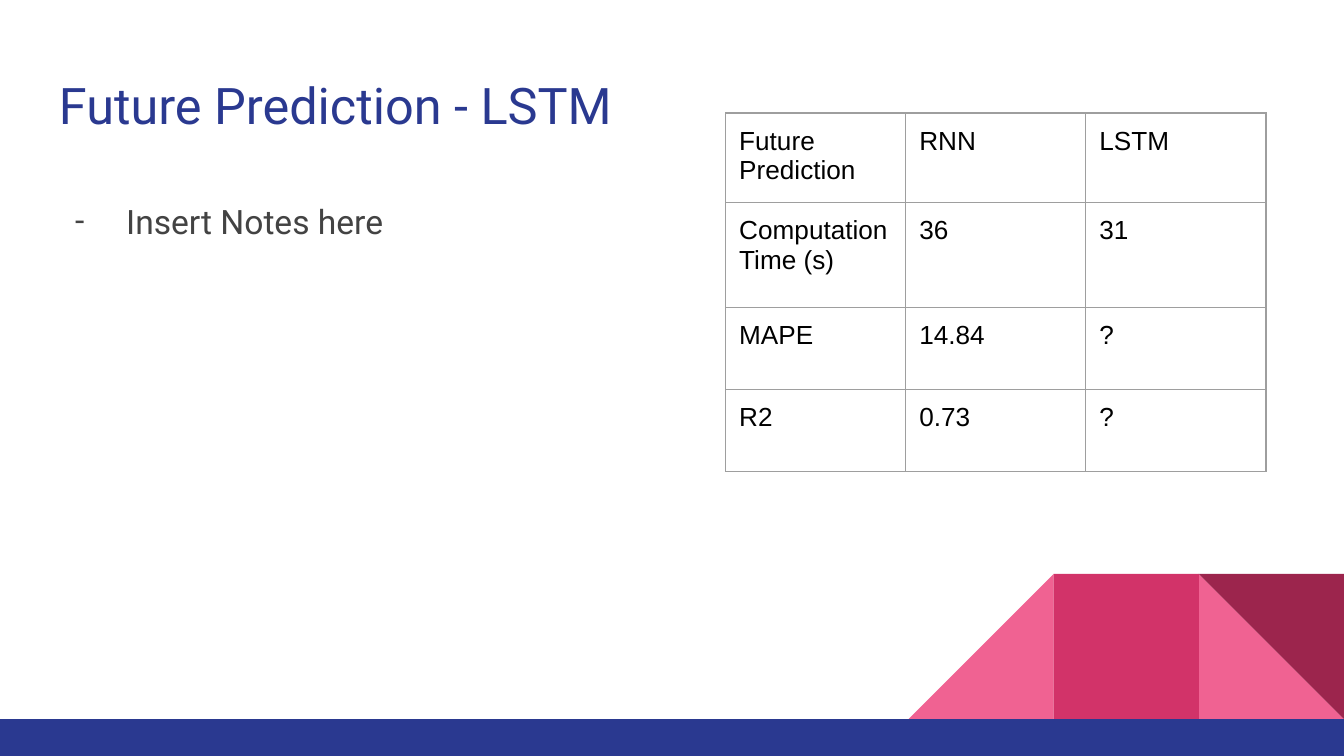
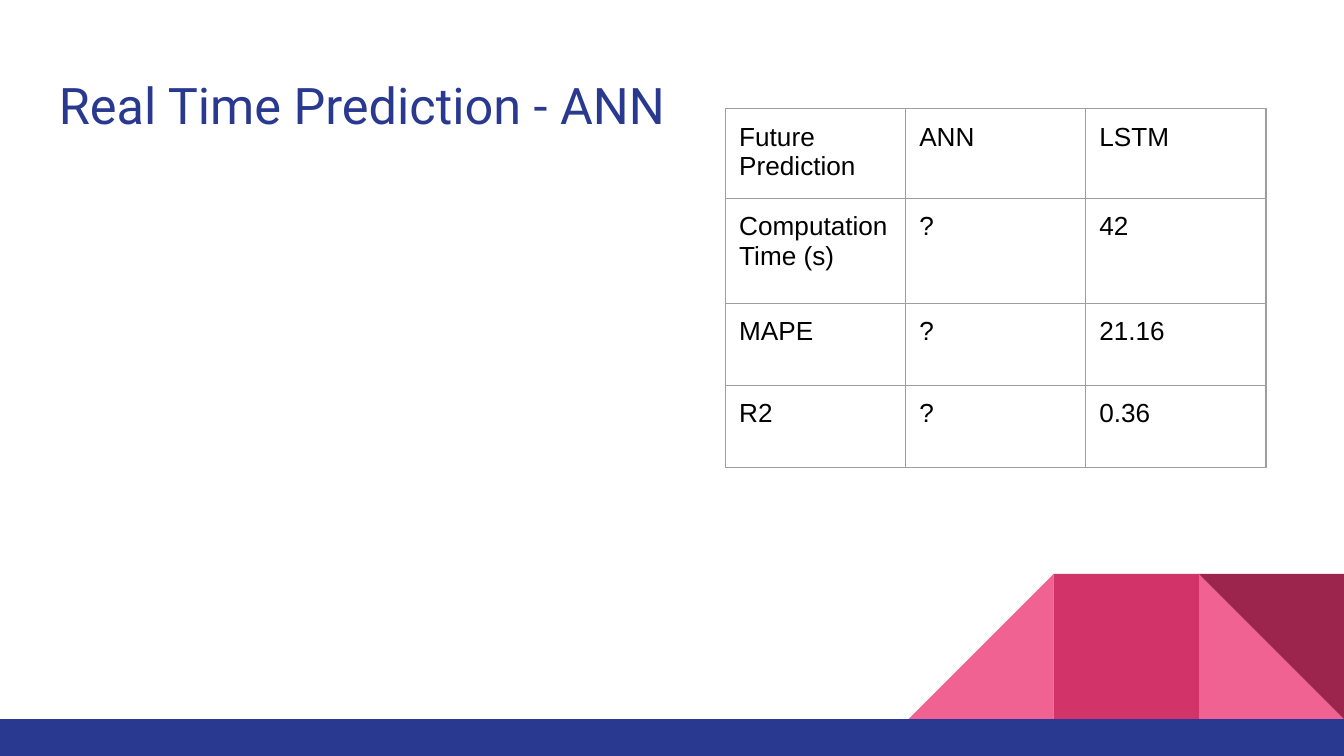
import pptx
import pptx.util
import pptx.dml.color
import pptx.enum.shapes
import pptx.enum.text
import pptx.oxml
import pptx.oxml.ns

Inches = pptx.util.Inches
Pt = pptx.util.Pt
SHAPE = pptx.enum.shapes.MSO_SHAPE

COLORS = {
    "white": "FFFFFF",
    "navy": "2A3990",
    "light_pink": "F06292",
    "pink": "D23369",
    "wine": "9C254D",
    "body": "434343",
    "cell": "000000",
    "border": "9E9E9E",
}
MARGIN = 0.1
TITLE_BOX = (0.34, 0.45, 9.32, 0.66)
BODY_BOX = (0.34, 1.35, 9.32, 3.65)
BAND_TOP = 5.35
TILE = 1.08
ROW_LABELS = ("Future\nPrediction", "Computation Time (s)", "MAPE", "R2")
ROW_HEIGHTS = (0.64, 0.78, 0.61, 0.61)
COL_WIDTH = 1.34

SLIDES = [
    {
        "title": "Future Prediction - LSTM",
        "notes": ["Insert Notes here"],
        "columns": [("RNN", "36", "14.84", "0.73"), ("LSTM", "31", "?", "?")],
        "table_at": (5.4, 0.84),
    },
    {
        "title": "Real Time Prediction - ANN",
        "notes": [],
        "columns": [("ANN", "?", "?", "?"), ("LSTM", "42", "21.16", "0.36")],
        "table_at": (5.4, 0.81),
    },
]


def rgb(name):
    return pptx.dml.color.RGBColor.from_string(COLORS[name])


def xml(text):
    return pptx.oxml.parse_xml(text.replace(">", f' {pptx.oxml.ns.nsdecls("a")}>', 1))


def write_text(tf, text, size=14, font="Arial", color="cell", spacing=None, bullet=None):
    for i, line in enumerate(text.split("\n")):
        p = tf.paragraphs[0] if i == 0 else tf.add_paragraph()
        p.alignment = pptx.enum.text.PP_ALIGN.LEFT
        if spacing:
            p.line_spacing = spacing
        if bullet:
            add_bullet(p, bullet, font, color)
        r = p.add_run()
        r.text = line
        r.font.size = Pt(size)
        r.font.name = font
        r.font.color.rgb = rgb(color)


def add_bullet(p, char, font, color):
    pPr = p._p.get_or_add_pPr()
    pPr.set("marL", str(Inches(0.5)))
    pPr.set("indent", str(Inches(-0.38)))
    pPr.append(xml(f'<a:buClr><a:srgbClr val="{COLORS[color]}"/></a:buClr>'))
    pPr.append(xml(f'<a:buFont typeface="{font}"></a:buFont>'))
    pPr.append(xml(f'<a:buChar char="{char}"></a:buChar>'))


def set_margins(target):
    target.margin_left = target.margin_right = Inches(MARGIN)
    target.margin_top = target.margin_bottom = Inches(MARGIN)


def add_text(slide, box, text, **fmt):
    tf = slide.shapes.add_textbox(*map(Inches, box)).text_frame
    tf.word_wrap = True
    set_margins(tf)
    write_text(tf, text, **fmt)


def add_block(slide, kind, box, color, rotation=0):
    sp = slide.shapes.add_shape(kind, *map(Inches, box))
    sp.shadow.inherit = False
    sp.fill.solid()
    sp.fill.fore_color.rgb = rgb(color)
    sp.line.fill.background()
    sp.rotation = rotation


def add_footer(slide, box):
    left, top, width, height = box
    tiles = [
        (1, SHAPE.RIGHT_TRIANGLE, "light_pink", 0),
        (3, SHAPE.RIGHT_TRIANGLE, "light_pink", 270),
        (2, SHAPE.RECTANGLE, "pink", 0),
        (1, SHAPE.RIGHT_TRIANGLE, "wine", 180),
    ]
    for steps, kind, color, rotation in tiles:
        tile_box = (left + width - steps * TILE, top - TILE, TILE, TILE)
        add_block(slide, kind, tile_box, color, rotation)
    add_block(slide, SHAPE.RECTANGLE, box, "navy")


def add_borders(cell):
    tcPr = cell._tc.get_or_add_tcPr()
    for i, side in enumerate("LRTB"):
        tcPr.insert(i, xml(
            f'<a:ln{side} w="{Pt(0.75)}"><a:solidFill>'
            f'<a:srgbClr val="{COLORS["border"]}"/></a:solidFill></a:ln{side}>'))


def add_results(slide, at, columns):
    columns = [ROW_LABELS, *columns]
    size = (COL_WIDTH * len(columns), sum(ROW_HEIGHTS))
    table = slide.shapes.add_table(
        len(ROW_HEIGHTS), len(columns), *map(Inches, (*at, *size))).table
    table.first_row = False
    table.horz_banding = False
    for row, height in zip(table.rows, ROW_HEIGHTS):
        row.height = Inches(height)
    for c, values in enumerate(columns):
        table.columns[c].width = Inches(COL_WIDTH)
        for r, value in enumerate(values):
            cell = table.cell(r, c)
            set_margins(cell)
            cell.fill.background()
            add_borders(cell)
            write_text(cell.text_frame, value)


def add_prediction_slide(prs, title, notes, columns, table_at):
    slide = prs.slides.add_slide(prs.slide_layouts[6])
    slide.background.fill.solid()
    slide.background.fill.fore_color.rgb = rgb("white")
    add_footer(slide, (0, BAND_TOP, 10, 0.28))
    add_text(slide, TITLE_BOX, title, size=27, font="Roboto", color="navy")
    if notes:
        add_text(slide, BODY_BOX, "\n".join(notes), size=18, font="Roboto",
                 color="body", spacing=1.15, bullet="-")
    add_results(slide, table_at, columns)


def main():
    prs = pptx.Presentation()
    prs.slide_width = Inches(10)
    prs.slide_height = Inches(10) * 9 // 16
    for content in SLIDES:
        add_prediction_slide(prs, **content)
    prs.save("out.pptx")


if __name__ == "__main__":
    main()
